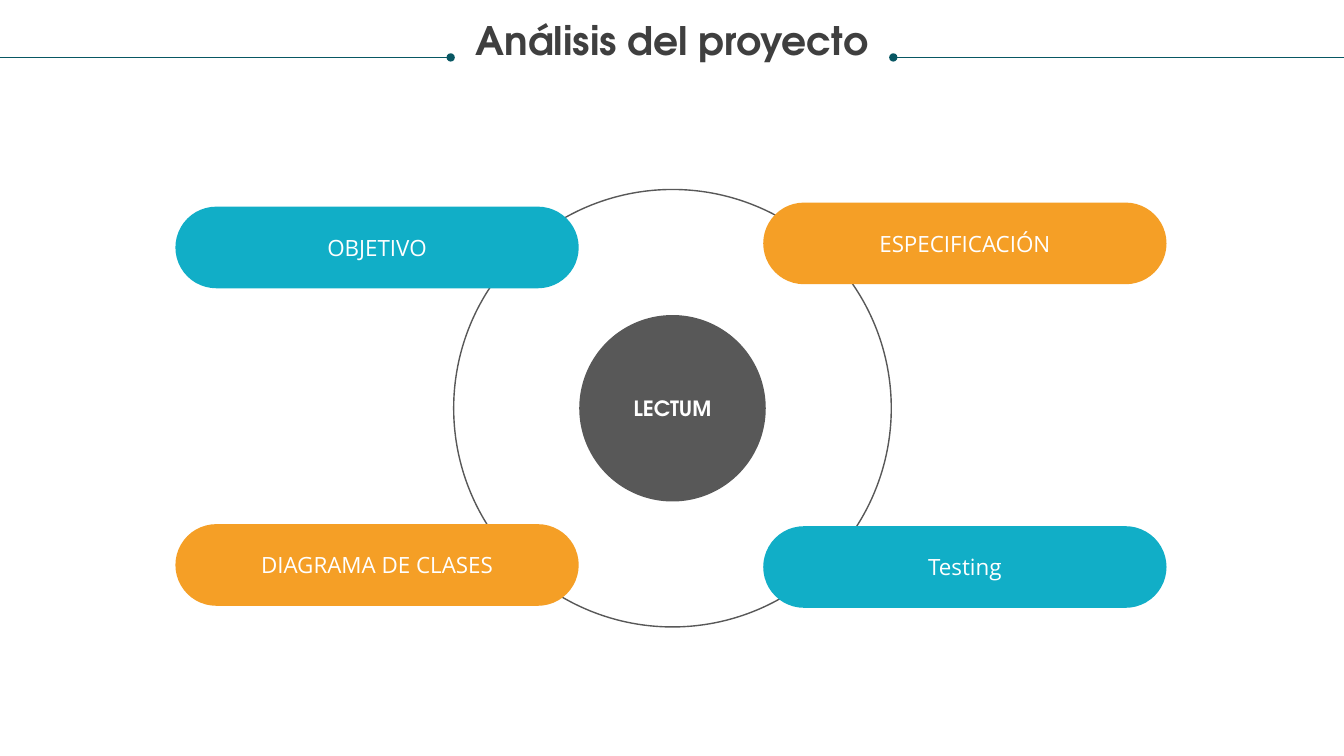
from dataclasses import dataclass

from lxml.etree import SubElement
from pptx import Presentation
from pptx.dml.color import RGBColor
from pptx.enum.shapes import MSO_CONNECTOR as Connector, MSO_SHAPE as Shape
from pptx.enum.text import MSO_ANCHOR as Anchor, PP_ALIGN as Align
from pptx.oxml.ns import qn
from pptx.util import Inches, Pt


@dataclass(frozen=True)
class Theme:
    """Colours, fonts and type sizes of the slide."""
    ink: str = "3F3F3F"
    grey: str = "585858"
    rule: str = "085763"
    orange: str = "F59F26"
    teal: str = "11AEC7"
    white: str = "FFFFFF"
    heading: str = "TeX Gyre Adventor"
    body: str = "Open Sans"
    title_size: int = 28
    hub_size: int = 15
    label_size: int = 16


def write(frame, text, *, size, font, color, bold=False, spacing=None, anchor=Anchor.MIDDLE):
    """Put one centred paragraph in a text frame."""
    frame.word_wrap = True
    frame.vertical_anchor = anchor
    paragraph = frame.paragraphs[0]
    paragraph.alignment = Align.CENTER
    paragraph.line_spacing = spacing
    run = paragraph.add_run()
    run.text = text
    run.font.size = Pt(size)
    run.font.name = font
    run.font.bold = bold
    run.font.color.rgb = RGBColor.from_string(color)


class Canvas:
    """Draws styled elements on the current slide."""

    def __init__(self, slide, theme):
        self.slide = slide
        self.theme = theme

    def title(self, text, left, top, width, height):
        """Add the heading text box."""
        box = self.slide.shapes.add_textbox(*map(Inches, (left, top, width, height)))
        frame = box.text_frame
        frame.margin_left = frame.margin_right = frame.margin_top = frame.margin_bottom = 0
        write(frame, text, size=self.theme.title_size, font=self.theme.heading,
              color=self.theme.ink, bold=True, spacing=0.9, anchor=Anchor.TOP)

    def dotted_rule(self, start, end, y):
        """Add a horizontal line with a dot at its start."""
        rule = self.slide.shapes.add_connector(
            Connector.STRAIGHT, Inches(start), Inches(y), Inches(end), Inches(y))
        rule.line.color.rgb = RGBColor.from_string(self.theme.rule)
        rule.line.width = Pt(0.75)
        SubElement(rule.line._get_or_add_ln(), qn("a:headEnd"), type="oval")
        SubElement(rule._element.spPr, qn("a:effectLst"))

    def shape(self, kind, left, top, width, height, fill=None, line=None):
        """Add a flat preset shape."""
        shape = self.slide.shapes.add_shape(kind, *map(Inches, (left, top, width, height)))
        shape.shadow.inherit = False
        if fill:
            shape.fill.solid()
            shape.fill.fore_color.rgb = RGBColor.from_string(fill)
        else:
            shape.fill.background()
        if line:
            shape.line.color.rgb = RGBColor.from_string(line)
            shape.line.width = Pt(1)
        else:
            shape.line.fill.background()
        return shape

    def circle(self, center_x, center_y, diameter, **style):
        """Add a circle around a centre."""
        radius = diameter / 2
        return self.shape(Shape.OVAL, center_x - radius, center_y - radius,
                          diameter, diameter, **style)

    def hub(self, text, center_x, center_y, diameter):
        """Add the labelled central disc."""
        disc = self.circle(center_x, center_y, diameter, fill=self.theme.grey)
        write(disc.text_frame, text, size=self.theme.hub_size, font=self.theme.heading,
              color=self.theme.white, bold=True)

    def pill(self, text, left, top, fill):
        """Add a labelled topic with fully rounded ends."""
        topic = self.shape(Shape.ROUNDED_RECTANGLE, left, top, 4, 0.81, fill=fill)
        topic.adjustments[0] = 0.5
        write(topic.text_frame, text, size=self.theme.label_size, font=self.theme.body,
              color=self.theme.white)


WIDTH, HEIGHT = 13.33, 7.5
CENTER_X, CENTER_Y = 6.67, 4.05
LEFT_COLUMN, RIGHT_COLUMN = 1.74, 7.57
RULE_Y = 0.57

theme = Theme()
deck = Presentation()
deck.slide_width, deck.slide_height = Inches(WIDTH), Inches(HEIGHT)
canvas = Canvas(deck.slides.add_slide(deck.slide_layouts[6]), theme)

canvas.circle(CENTER_X, CENTER_Y, 4.34, line=theme.grey)
canvas.title("Análisis del proyecto", 0.25, 0.21, 12.83, 0.85)
for dot_x, edge_x in ((4.47, 0), (8.86, WIDTH)):
    canvas.dotted_rule(dot_x, edge_x, RULE_Y)
canvas.hub("LECTUM", CENTER_X, CENTER_Y, 1.85)

topics = (
    ("ESPECIFICACIÓN", RIGHT_COLUMN, 2.01, theme.orange),
    ("OBJETIVO", LEFT_COLUMN, 2.05, theme.teal),
    ("DIAGRAMA DE CLASES", LEFT_COLUMN, 5.2, theme.orange),
    ("Testing", RIGHT_COLUMN, 5.22, theme.teal),
)
for topic in topics:
    canvas.pill(*topic)

deck.save("out.pptx")
